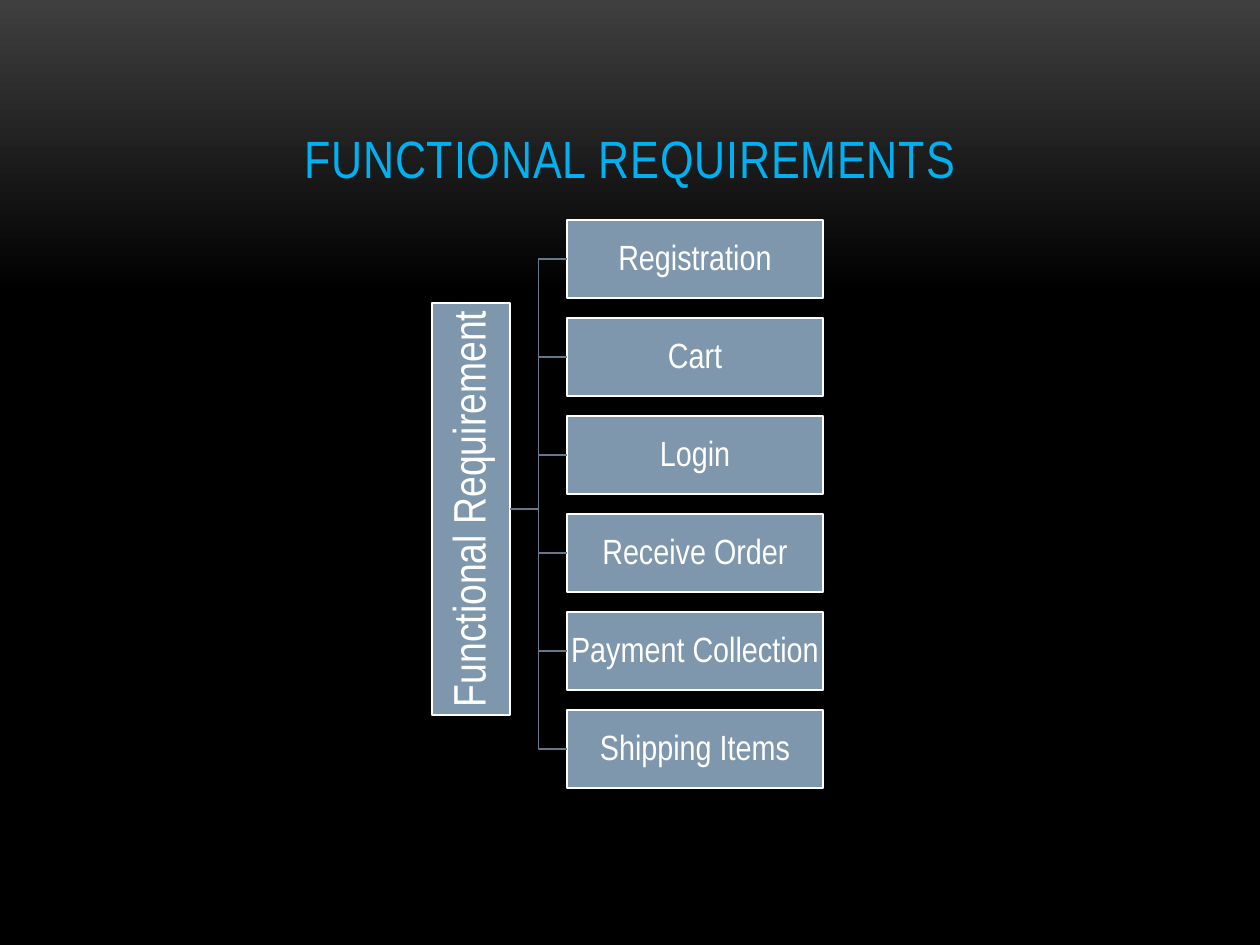
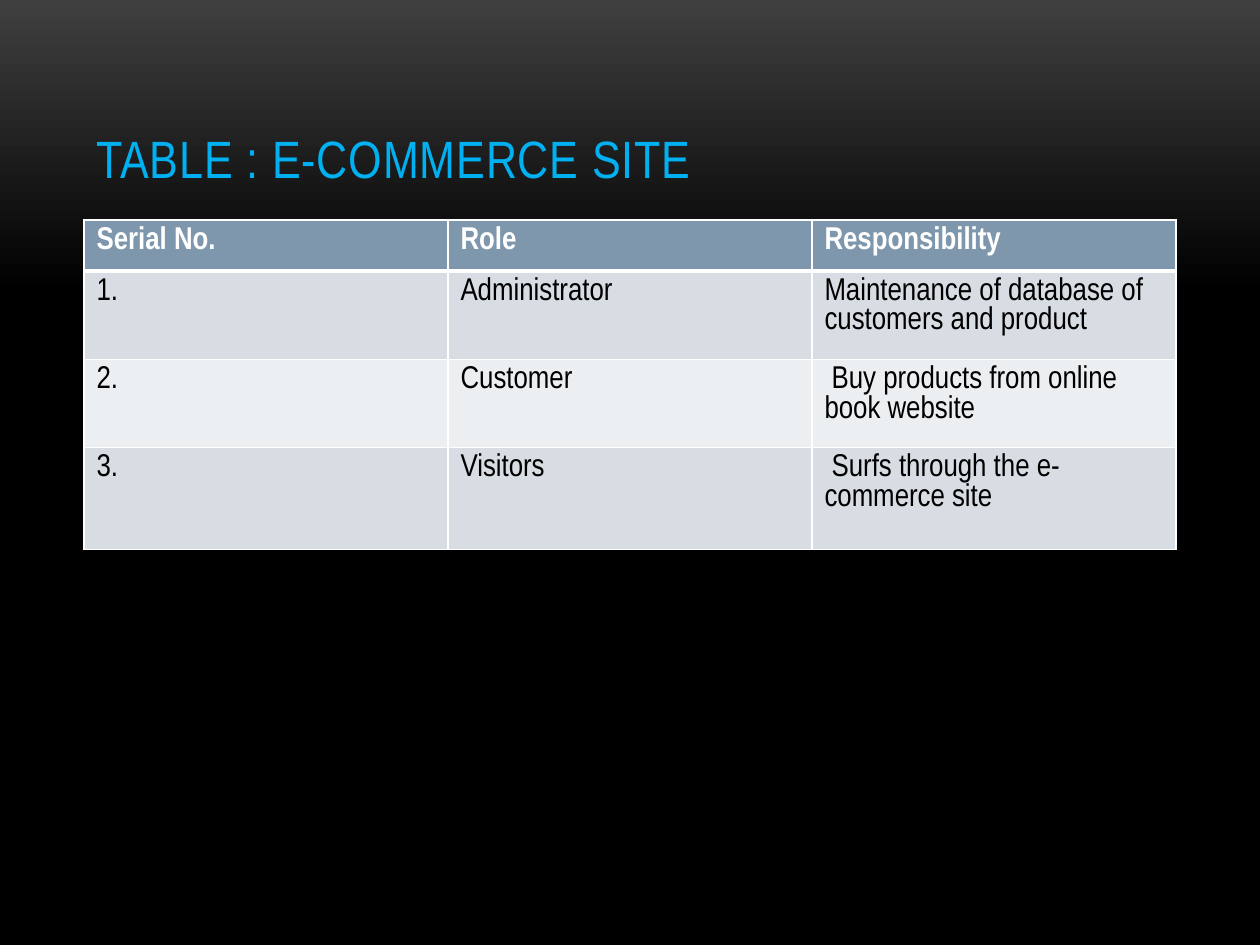
from lxml.etree import SubElement
from pptx import Presentation
from pptx.dml.color import RGBColor
from pptx.enum.shapes import MSO_CONNECTOR as Connector, MSO_SHAPE as Shape
from pptx.enum.text import MSO_ANCHOR as Anchor, PP_ALIGN as Align
from pptx.oxml.ns import qn
from pptx.util import Emu, Pt

EMU_PER_PX = 914400 / 126
FONT = "Arial Narrow"
COLORS = {
    "glow": "3F3F3F",
    "black": "000000",
    "title": "00B0F0",
    "steel": "7E97AD",
    "wire": "65798B",
    "white": "FFFFFF",
    "band_dark": "D8DDE3",
    "band_light": "ECEFF1",
}
TOP, BOTTOM, LEFT, RIGHT = "lnT", "lnB", "lnL", "lnR"


def px(*lengths):
    """Turn px lengths into a list of EMU lengths."""
    return [Emu(round(length * EMU_PER_PX)) for length in lengths]


def rgb(name):
    """Look up a named colour."""
    return RGBColor.from_string(COLORS[name])


def write(frame, text, size=18, color="black", bold=False, align=Align.LEFT,
          line_spacing=None, tracking=None):
    """Write one formatted paragraph into a text frame."""
    para = frame.paragraphs[0]
    para.alignment = align
    para.line_spacing = line_spacing
    span = para.add_run()
    span.text = text
    span.font.name = FONT
    span.font.size = Pt(size)
    span.font.bold = bold
    span.font.color.rgb = rgb(color)
    if tracking is not None:
        span.font._element.set("spc", str(round(tracking * 100)))


def draw_border(cell, side, width):
    """Add one white border to a table cell."""
    properties = cell._tc.get_or_add_tcPr()
    line = SubElement(properties, qn(f"a:{side}"), w=str(Pt(width)))
    fill = SubElement(line, qn("a:solidFill"))
    SubElement(fill, qn("a:srgbClr"), val=COLORS["white"])


class Deck:
    """Hold the presentation, its style and the current page."""

    def __init__(self):
        """Start an empty deck."""
        self.show = Presentation()
        self.show.slide_width, self.show.slide_height = px(1260, 945)
        self.page = None

    def add_page(self, title, align=Align.LEFT):
        """Add a page with the shared background and title."""
        self.page = self.show.slides.add_slide(self.show.slide_layouts[6])
        fill = self.page.background.fill
        fill.gradient()
        fill.gradient_angle = 270
        for stop, color, position in zip(fill.gradient_stops, ("glow", "black"), (0, 0.31)):
            stop.color.rgb = rgb(color)
            stop.position = position
        frame = self.page.shapes.add_textbox(*px(84, 38, 1092, 157)).text_frame
        frame.word_wrap = True
        frame.vertical_anchor = Anchor.BOTTOM
        write(frame, title, size=30, color="title", align=align, tracking=0.5)

    def add_box(self, text, left, top, width, height, size, inset, upright=False):
        """Add a labelled rectangle, with its text turned if upright."""
        box = self.page.shapes.add_shape(Shape.RECTANGLE, *px(left, top, width, height))
        box.shadow.inherit = False
        box.fill.solid()
        box.fill.fore_color.rgb = rgb("steel")
        box.line.color.rgb = rgb("white")
        box.line.width = Pt(0.85)
        frame = box.text_frame
        frame.word_wrap = True
        frame.vertical_anchor = Anchor.MIDDLE
        (margin,) = px(inset)
        frame.margin_left = frame.margin_right = margin
        frame.margin_top = frame.margin_bottom = margin
        if upright:
            frame._txBody.bodyPr.set("vert", "vert270")
        write(frame, text, size=size, color="white", align=Align.CENTER, line_spacing=0.9)
        return box

    def add_branch(self, parent, child):
        """Join a parent's right side to a child's left side."""
        branch = self.page.shapes.add_connector(Connector.ELBOW, 0, 0, 0, 0)
        branch.begin_connect(parent, 3)
        branch.end_connect(child, 1)
        branch.line.color.rgb = rgb("wire")
        branch.line.width = Pt(0.85)
        SubElement(branch._element.spPr, qn("a:effectLst"))

    def add_table(self, rows, left, top, column_width, row_heights):
        """Add a table with a header row and banded body rows."""
        columns = len(rows[0])
        area = px(left, top, column_width * columns, sum(row_heights))
        table = self.page.shapes.add_table(len(rows), columns, *area).table
        for column in table.columns:
            (column.width,) = px(column_width)
        for index, (texts, height) in enumerate(zip(rows, row_heights)):
            (table.rows[index].height,) = px(height)
            header = index == 0
            band = "steel" if header else "band_dark" if index % 2 else "band_light"
            widths = {LEFT: 1, RIGHT: 1, TOP: 3 if index == 1 else 1, BOTTOM: 3 if header else 1}
            for cell, text in zip(table.rows[index].cells, texts):
                for side, width in widths.items():
                    draw_border(cell, side, width)
                cell.fill.solid()
                cell.fill.fore_color.rgb = rgb(band)
                write(cell.text_frame, text, color="white" if header else "black", bold=header)


def add_requirements_page(deck):
    """Build the tree of functional requirements."""
    deck.add_page("FUNCTIONAL REQUIREMENTS", align=Align.CENTER)
    root = deck.add_box("Functional Requirement", 432, 303, 78, 412,
                        size=26, inset=2, upright=True)
    requirements = ("Registration", "Cart", "Login", "Receive Order",
                    "Payment Collection", "Shipping Items")
    for index, requirement in enumerate(requirements):
        box = deck.add_box(requirement, 567, 220 + 98 * index, 256, 78, size=20, inset=1)
        deck.add_branch(root, box)


def add_roles_page(deck):
    """Build the table of roles and responsibilities."""
    deck.add_page("TABLE : E-COMMERCE SITE")
    roles = [
        ("Serial No.", "Role", "Responsibility"),
        ("1.", "Administrator", "Maintenance of database of customers and product"),
        ("2.", "Customer", " Buy products from online book website"),
        ("3.", "Visitors", " Surfs through the e-commerce site"),
    ]
    deck.add_table(roles, 84, 220, 364, (51, 72, 72, 102))


def main():
    """Build and save the deck."""
    deck = Deck()
    add_requirements_page(deck)
    add_roles_page(deck)
    deck.show.save("out.pptx")


if __name__ == "__main__":
    main()
